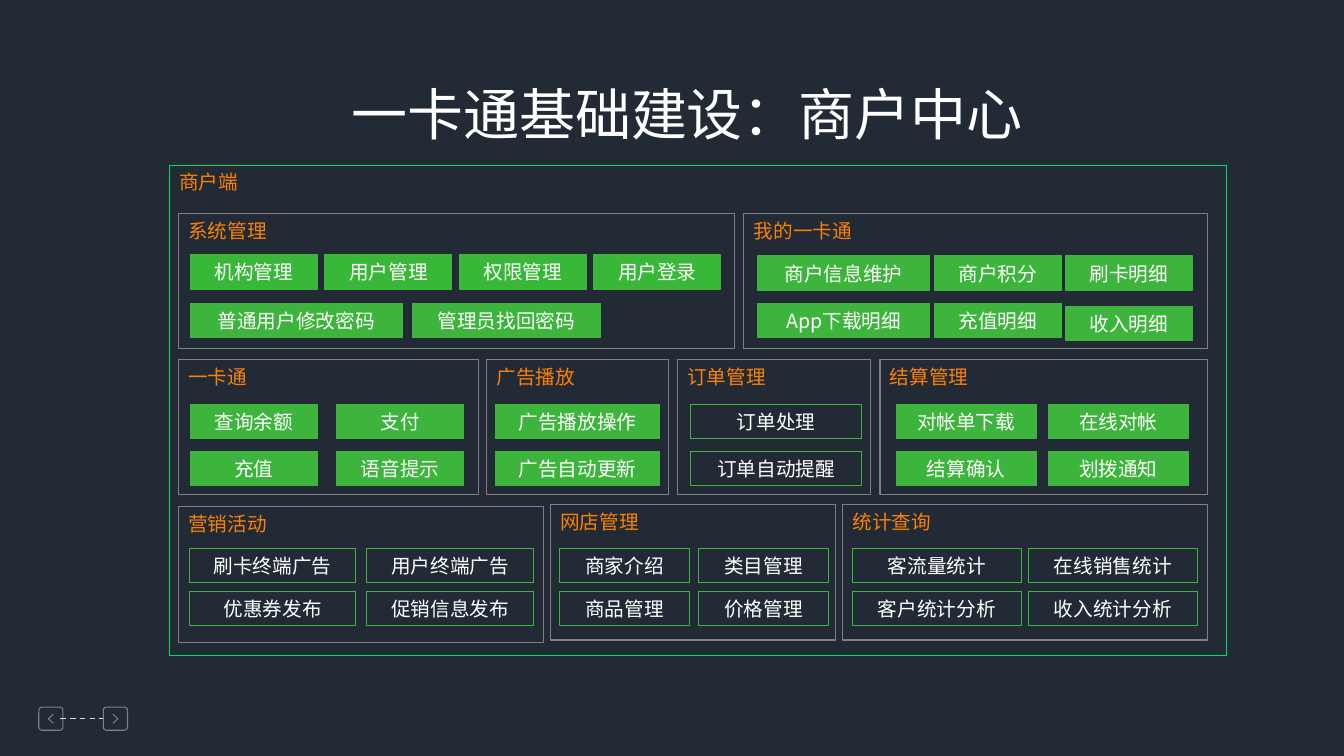
from dataclasses import dataclass
from itertools import accumulate, product

from pptx import Presentation, util as u
from pptx.dml.color import RGBColor
from pptx.enum import dml, shapes, text
from pptx.oxml import ns, xmlchemy


@dataclass(frozen=True)
class Theme:
    font: str = "Noto Sans CJK SC"
    title_size: int = 40
    body_size: int = 14
    back: str = "222A35"
    white: str = "FFFFFF"
    orange: str = "FA8107"
    frame: str = "00DE64"
    grey: str = "808080"
    dash: str = "D9D9D9"
    green: str = "3DB53D"
    bright: str = "39B739"


@dataclass(frozen=True)
class Box:
    """A rectangle in grid columns and rows."""
    left: float
    top: float
    width: float
    height: float


@dataclass(frozen=True)
class Block:
    """Buttons in shared columns, named row by row."""
    tops: tuple[float, ...]
    left: float
    gap: float
    widths: tuple[float, ...]
    names: str
    fill: str | None = None


@dataclass(frozen=True)
class Panel:
    label: str
    left: float
    top: float
    width: float
    blocks: tuple[Block, ...]


T = Theme()
COLS, ROWS = 133.33, 75
CELL = u.Inches(0.1)
PANEL_H, BUTTON_H = 13.4, 3.4
UPPER, MIDDLE, LOWER = (25.4, 30.1), (40.1, 44.8), (54.4, 58.7)

FRAME = Box(16.8, 16.4, 104.9, 48.6)
PANELS = (
    Panel("系统管理", 17.7, 21.2, 55.2, (
        Block((25.3,), 18.9, 0.74, (12.6,) * 4, "机构管理 用户管理 权限管理 用户登录", T.bright),
        Block((30.1,), 18.9, 1, (21, 18.7), "普通用户修改密码 管理员找回密码", T.green))),
    Panel("我的一卡通", 73.8, 21.2, 46, (
        Block(UPPER, 75.2, 0.5, (17, 12.6), "商户信息维护 商户积分 App下载明细 充值明细", T.green),
        Block((25.4, 30.4), 105.7, 0, (12.6,), "刷卡明细 收入明细", T.green))),
    Panel("一卡通", 17.7, 35.7, 29.8, (
        Block(MIDDLE, 18.9, 1.9, (12.6,) * 2, "查询余额 支付 充值 语音提示", T.green),)),
    Panel("广告播放", 48.3, 35.7, 18, (
        Block(MIDDLE, 49.2, 0, (16.2,), "广告播放操作 广告自动更新", T.green),)),
    Panel("订单管理", 67.2, 35.7, 19.2, (
        Block(MIDDLE, 68.5, 0, (17,), "订单处理 订单自动提醒"),)),
    Panel("结算管理", 87.3, 35.7, 32.5, (
        Block(MIDDLE, 88.9, 1.2, (13.9,) * 2, "对帐单下载 在线对帐 结算确认 划拨通知", T.green),)),
    Panel("营销活动", 17.7, 50.3, 36.2, (
        Block(LOWER, 18.8, 1.1, (16.5,) * 2, "刷卡终端广告 用户终端广告 优惠券发布 促销信息发布"),)),
    Panel("网店管理", 54.6, 50.1, 28.3, (
        Block(LOWER, 55.5, 0.9, (12.9,) * 2, "商家介绍 类目管理 商品管理 价格管理"),)),
    Panel("统计查询", 83.6, 50.1, 36.2, (
        Block(LOWER, 84.6, 0.7, (16.7, 16.8), "客流量统计 在线销售统计 客户统计分析 收入统计分析"),)),
)


def cells(n: float) -> int:
    return round(n * CELL)


def rgb(color: str) -> RGBColor:
    return RGBColor.from_string(color)


def write(sp, words: str, *, size: int = T.body_size, color: str = T.white,
          align=text.PP_ALIGN.CENTER, anchor=text.MSO_ANCHOR.MIDDLE, wrap: bool = True) -> None:
    tf = sp.text_frame
    tf.word_wrap, tf.vertical_anchor = wrap, anchor
    tf.auto_size = text.MSO_AUTO_SIZE.NONE
    p = tf.paragraphs[0]
    p.alignment = align
    r = p.add_run()
    r.text = words
    r.font.size, r.font.name = u.Pt(size), T.font
    r.font.color.rgb = rgb(color)
    ea = xmlchemy.OxmlElement("a:ea")
    ea.set("typeface", T.font)
    r.font._element.find(ns.qn("a:latin")).addnext(ea)


def place(sp, box: Box) -> None:
    sp.left, sp.top = cells(box.left), cells(box.top)
    sp.width, sp.height = cells(box.width), cells(box.height)


def outline(sp, line: str, width: float = 0, fill: str | None = None) -> None:
    sp.shadow.inherit = False
    sp.line.color.rgb, sp.line.width = rgb(line), u.Pt(width)
    if fill:
        sp.fill.solid()
        sp.fill.fore_color.rgb = rgb(fill)
    else:
        sp.fill.background()


def add_box(s, box: Box, line: str, *, width: float = 0, fill: str | None = None,
            kind=shapes.MSO_SHAPE.RECTANGLE):
    sp = s.shapes.add_shape(kind, 0, 0, 0, 0)
    place(sp, box)
    outline(sp, line, width, fill)
    return sp


def add_labelled_box(s, box: Box, label: str, line: str) -> None:
    write(add_box(s, box, line), label, color=T.orange,
          align=text.PP_ALIGN.LEFT, anchor=text.MSO_ANCHOR.TOP)


def add_block(s, block: Block) -> None:
    steps = (w + block.gap for w in block.widths[:-1])
    lefts = accumulate(steps, initial=block.left)
    spots = product(block.tops, zip(lefts, block.widths))
    for (top, (left, width)), name in zip(spots, block.names.split()):
        write(add_box(s, Box(left, top, width, BUTTON_H), T.green, fill=block.fill), name)


def add_panel(s, panel: Panel) -> None:
    add_labelled_box(s, Box(panel.left, panel.top, panel.width, PANEL_H), panel.label, T.grey)
    for block in panel.blocks:
        add_block(s, block)


def add_nav_button(s, left: float, direction: int) -> None:
    """Draw a rounded button whose chevron points left (-1) or right (1)."""
    box = Box(left, 70.15, 2.4, 2.3)
    sp = add_box(s, box, T.grey, width=0.75, kind=shapes.MSO_SHAPE.ROUNDED_RECTANGLE)
    sp.adjustments[0] = 0.14
    x, y = left + box.width / 2, box.top + box.height / 2
    tail, tip = x - 0.25 * direction, x + 0.25 * direction
    pen = s.shapes.build_freeform(cells(tail), cells(y - 0.45))
    pen.add_line_segments([(cells(tip), cells(y)), (cells(tail), cells(y + 0.45))], close=False)
    outline(pen.convert_to_shape(), T.grey, 0.75)


def add_dashes(s, start: float, end: float, y: float) -> None:
    c = s.shapes.add_connector(shapes.MSO_CONNECTOR.STRAIGHT,
                               cells(start), cells(y), cells(end), cells(y))
    c.line.color.rgb, c.line.width = rgb(T.dash), u.Pt(1)
    c.line.dash_style = dml.MSO_LINE.DASH
    c._element.spPr.append(xmlchemy.OxmlElement("a:effectLst"))


def main() -> None:
    prs = Presentation()
    prs.slide_width, prs.slide_height = cells(COLS), cells(ROWS)
    s = prs.slides.add_slide(prs.slide_layouts[5])
    s.background.fill.solid()
    s.background.fill.fore_color.rgb = rgb(T.back)

    place(s.shapes.title, Box(33.5, 7.4, 69.3, 7.7))
    write(s.shapes.title, "一卡通基础建设：商户中心", size=T.title_size, wrap=False)

    add_labelled_box(s, FRAME, "商户端", T.frame)
    for panel in PANELS:
        add_panel(s, panel)

    add_nav_button(s, 3.85, -1)
    add_nav_button(s, 10.25, 1)
    add_dashes(s, 6, 10.2, 71.3)
    prs.save("out.pptx")


if __name__ == "__main__":
    main()
